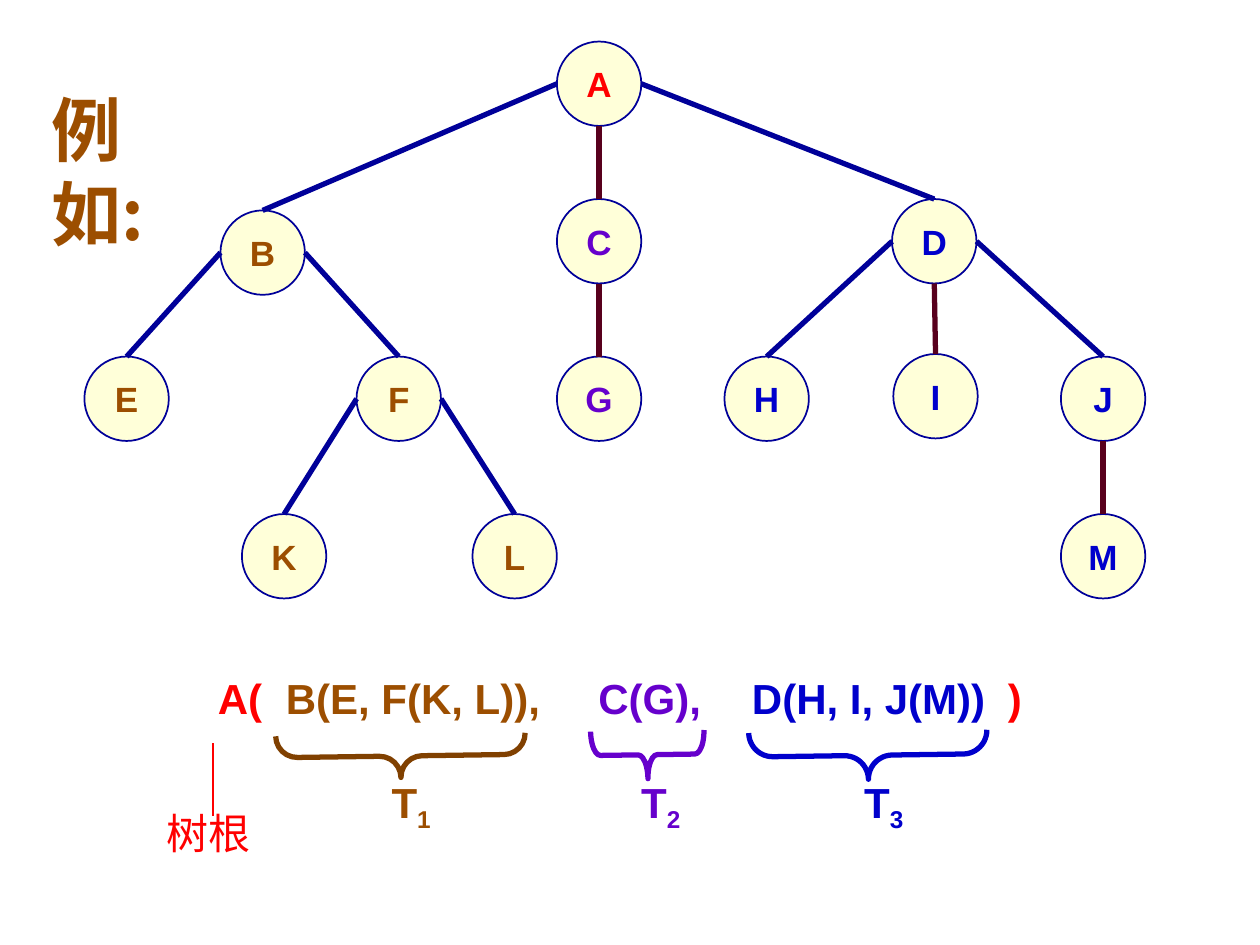
from lxml import etree
from pptx import Presentation
from pptx.dml.color import RGBColor
from pptx.enum.shapes import MSO_CONNECTOR, MSO_SHAPE
from pptx.enum.text import MSO_ANCHOR, PP_ALIGN
from pptx.oxml.ns import qn
from pptx.util import Inches, Pt

STRAIGHT = MSO_CONNECTOR.STRAIGHT
OVAL, BRACE = MSO_SHAPE.OVAL, MSO_SHAPE.LEFT_BRACE
MIDDLE, TOP = MSO_ANCHOR.MIDDLE, MSO_ANCHOR.TOP
CENTER, LEFT = PP_ALIGN.CENTER, PP_ALIGN.LEFT

LATIN, CJK = "Arial", "Noto Sans CJK SC"
RED, BROWN, PURPLE, BLUE = "FF0000", "9C4E00", "6600CC", "0000CC"
NAVY, MAROON, CREAM, BRACE_BROWN = "000099", "58001D", "FFFFD9", "804000"
NODE = 0.67

NODES = {
    "A": (3.75, 0, RED),
    "B": (1.08, 1.34, BROWN),
    "C": (3.75, 1.25, PURPLE),
    "D": (6.41, 1.25, BLUE),
    "E": (0, 2.5, BROWN),
    "F": (2.16, 2.5, BROWN),
    "G": (3.75, 2.5, PURPLE),
    "H": (5.08, 2.5, BLUE),
    "I": (6.42, 2.48, BLUE),
    "J": (7.75, 2.5, BLUE),
    "M": (7.75, 3.75, BLUE),
    "K": (1.25, 3.75, BROWN),
    "L": (3.08, 3.75, BROWN),
}
CHILDREN = {"A": "BCD", "B": "EF", "C": "G", "D": "HIJ", "F": "KL", "J": "M"}


def rgb(color):
    return RGBColor.from_string(color)


def write(sp, text, size=24, color=RED, font=LATIN, bold=True, align=LEFT,
          anchor=TOP, wrap=True, sub="", tab=None):
    tf = sp.text_frame
    tf.word_wrap = wrap
    tf.vertical_anchor = anchor
    p = tf.paragraphs[0]
    p.alignment = align
    if tab:
        tabs = etree.SubElement(p._p.get_or_add_pPr(), qn("a:tabLst"))
        etree.SubElement(tabs, qn("a:tab"), pos=str(Inches(tab)), algn="l")
    for part in filter(None, (text, sub)):
        r = p.add_run()
        r.text = part
        r.font.size = Pt(size)
        r.font.bold = bold
        r.font.name = font
        r.font.color.rgb = rgb(color)
        rPr = r._r.get_or_add_rPr()
        etree.SubElement(rPr, qn("a:ea"), typeface=font)
        if part == sub:
            rPr.set("baseline", "-25000")


def add_text(shapes, box, text, **fmt):
    sp = shapes.add_textbox(*map(Inches, box))
    write(sp, text, **fmt)
    return sp


def add_line(shapes, start, end, color, width):
    cxn = shapes.add_connector(STRAIGHT, *map(Inches, (*start, *end)))
    cxn.line.color.rgb = rgb(color)
    cxn.line.width = Pt(width)
    etree.SubElement(cxn._element.spPr, qn("a:effectLst"))


def add_node(shapes, x, y, label, color):
    sp = shapes.add_shape(OVAL, *map(Inches, (x, y, NODE, NODE)))
    sp.shadow.inherit = False
    sp.fill.solid()
    sp.fill.fore_color.rgb = rgb(CREAM)
    sp.line.color.rgb = rgb(NAVY)
    sp.line.width = Pt(1)
    write(sp, label, size=20, color=color, align=CENTER, anchor=MIDDLE, wrap=False)


def add_tree(shapes, left, top):
    for label, (x, y, color) in NODES.items():
        add_node(shapes, left + x, top + y, label, color)
    for parent, children in CHILDREN.items():
        px, py = left + NODES[parent][0], top + NODES[parent][1]
        for child in children:
            cx, cy = left + NODES[child][0], top + NODES[child][1]
            end = (cx + NODE / 2, cy)
            if abs(cx - px) < 0.05:
                add_line(shapes, (px + NODE / 2, py + NODE), end, MAROON, 3)
            else:
                side = px if cx < px else px + NODE
                add_line(shapes, (side, py + NODE / 2), end, NAVY, 3)


def add_subtree(shapes, brace_box, bend, brace_color, label_box, number, color):
    group = shapes.add_group_shape().shapes
    sp = group.add_shape(BRACE, *map(Inches, brace_box))
    sp.shadow.inherit = False
    sp.adjustments[0] = bend
    sp.adjustments[1] = 0.5
    sp.rotation = 269.2
    sp.fill.background()
    sp.line.color.rgb = rgb(brace_color)
    sp.line.width = Pt(3)
    add_text(group, label_box, "T", sub=number, color=color)


def add_list_form(shapes, left, top):
    add_text(shapes, (left, top, 6.91, 0.51), "A(\t)", tab=6.27)
    subtrees = [
        ((1.38, -0.28, 0.34, 1.98), 0.5, BRACE_BROWN, (1.38, 0.57), BROWN),
        ((3.32, 0.25, 0.38, 0.9), 0.2, PURPLE, (3.36, 0.64), PURPLE),
        ((5.07, -0.24, 0.38, 1.89), 0.5, BLUE, (5.13, 0.55), BLUE),
    ]
    for i, ((x, y, w, h), bend, line, (tx, tw), color) in enumerate(subtrees, 1):
        add_subtree(shapes, (left + x, top + y, w, h), bend, line,
                    (left + tx, top + 0.82, tw, 0.51), str(i), color)
    add_line(shapes, (left + 0.06, top + 0.61), (left + 0.06, top + 1.19), RED, 1.5)
    add_text(shapes, (left - 0.41, top + 1.07, 0.88, 0.5), "树根",
             font=CJK, bold=False, wrap=False)
    terms = [
        (0.54, 2.22, "B(E, F(K, L)),", BROWN),
        (3.02, 1.12, "C(G),", PURPLE),
        (4.24, 2.07, "D(H, I, J(M))", BLUE),
    ]
    for x, w, text, color in terms:
        add_text(shapes, (left + x, top, w, 0.51), text, color=color, wrap=False)


def main():
    prs = Presentation()
    prs.slide_width, prs.slide_height = Inches(10), Inches(7.5)
    shapes = prs.slides.add_slide(prs.slide_layouts[6]).shapes
    add_tree(shapes, 0.67, 0.33)
    title = add_text(shapes, (0.31, 0.64, 1.45, 0.77), "例如:",
                     size=40, color=BROWN, font=CJK)
    title.text_frame.margin_right = Inches(0.25)
    add_list_form(shapes, 1.63, 5.29)
    prs.save("out.pptx")


if __name__ == "__main__":
    main()
